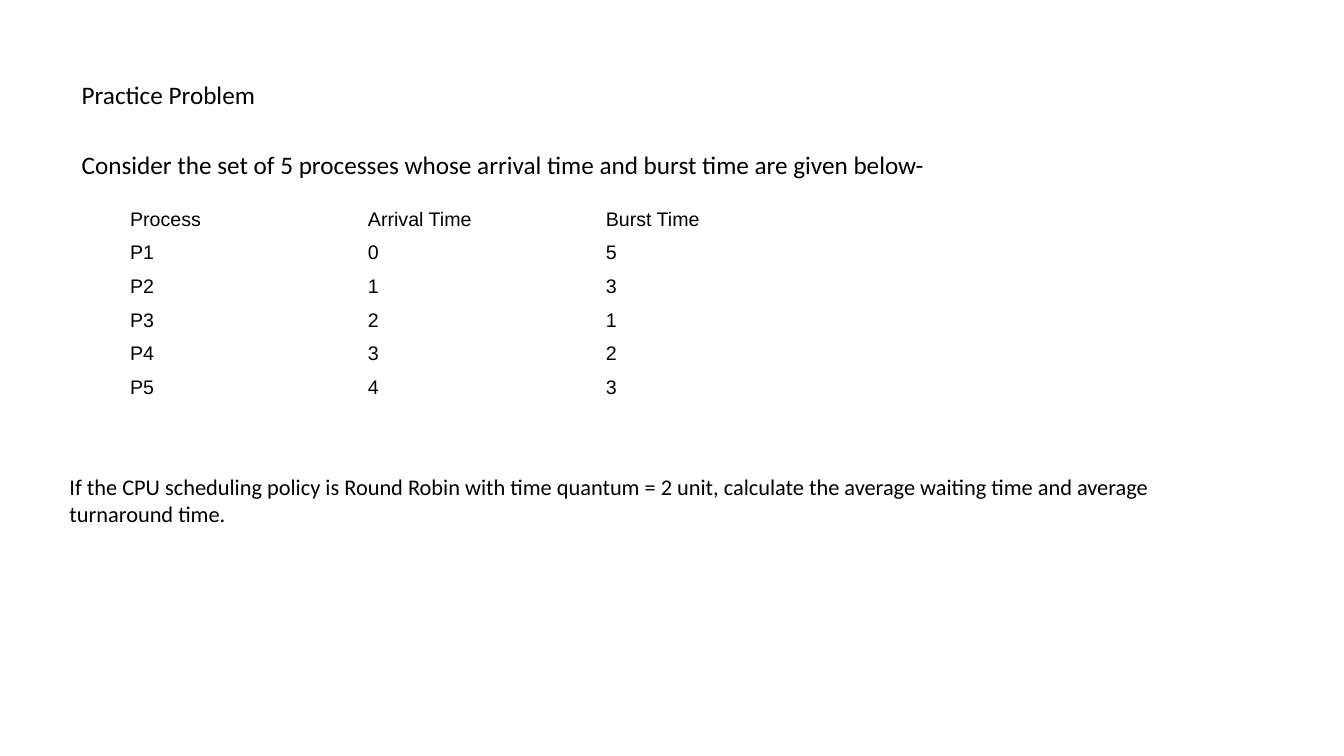
from pptx import Presentation
from pptx.dml.color import RGBColor
from pptx.enum.text import MSO_ANCHOR
from pptx.util import Inches, Pt

theme = {
    "text": RGBColor(0, 0, 0),
    "body_font": "Calibri",
    "table_font": "Arial",
    "body_size": Pt(18),
    "question_size": Pt(16),
    "table_size": Pt(14),
}

presentation = Presentation()
presentation.slide_width = Inches(13.33)
presentation.slide_height = Inches(7.5)
slide = presentation.slides.add_slide(presentation.slide_layouts[6])
column = presentation.slide_width / 100
row = presentation.slide_height / 100


def place(left, top, width, height):
    return int(left * column), int(top * row), int(width * column), int(height * row)


def add_text(paragraph, text, font_name, size):
    run = paragraph.add_run()
    run.text = text
    run.font.name = font_name
    run.font.size = size
    run.font.color.rgb = theme["text"]


introduction = slide.shapes.add_textbox(*place(4.43, 9.87, 90.1, 79.6)).text_frame
introduction.word_wrap = True
introduction.margin_left = Inches(0.22)
heading = introduction.paragraphs[0]
add_text(heading, "Practice Problem", theme["body_font"], theme["body_size"])
statement = introduction.add_paragraph()
statement.space_before = Pt(28)
add_text(
    statement,
    "Consider the set of 5 processes whose arrival time and burst time are given below-",
    theme["body_font"],
    theme["body_size"],
)

processes = [
    ("Process", "Arrival Time", "Burst Time"),
    ("P1", "0", "5"),
    ("P2", "1", "3"),
    ("P3", "2", "1"),
    ("P4", "3", "2"),
    ("P5", "4", "3"),
]
table = slide.shapes.add_table(
    len(processes), len(processes[0]), *place(8.93, 26.8, 53.1, 25.6)
).table
table.first_row = False
table.horz_banding = False
for row_index, values in enumerate(processes):
    for column_index, value in enumerate(values):
        cell = table.cell(row_index, column_index)
        cell.fill.background()
        cell.vertical_anchor = MSO_ANCHOR.MIDDLE
        add_text(
            cell.text_frame.paragraphs[0], value, theme["table_font"], theme["table_size"]
        )

question = slide.shapes.add_textbox(*place(4.43, 46.13, 85.07, 24.27)).text_frame
question.word_wrap = True
question.vertical_anchor = MSO_ANCHOR.BOTTOM
add_text(
    question.paragraphs[0],
    "If the CPU scheduling policy is Round Robin with time quantum = 2 unit, "
    "calculate the average waiting time and average turnaround time.",
    theme["body_font"],
    theme["question_size"],
)

presentation.save("out.pptx")
